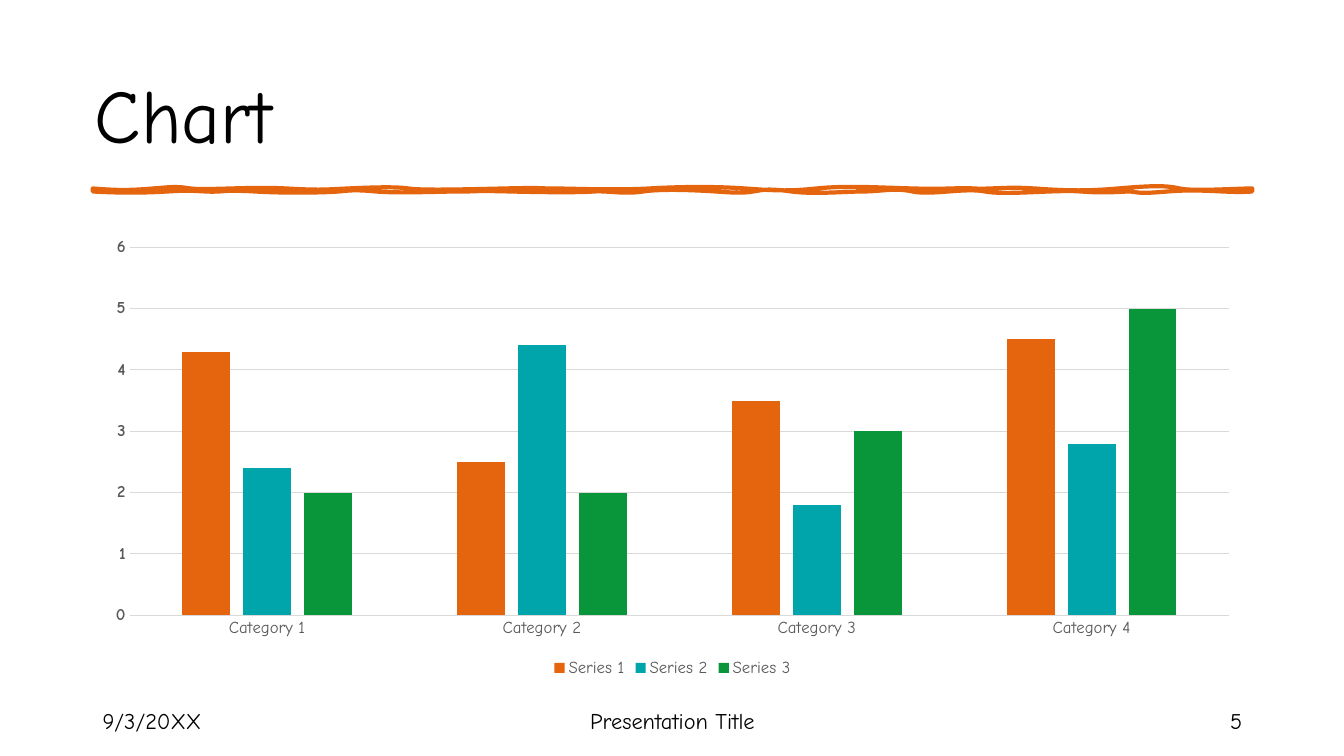
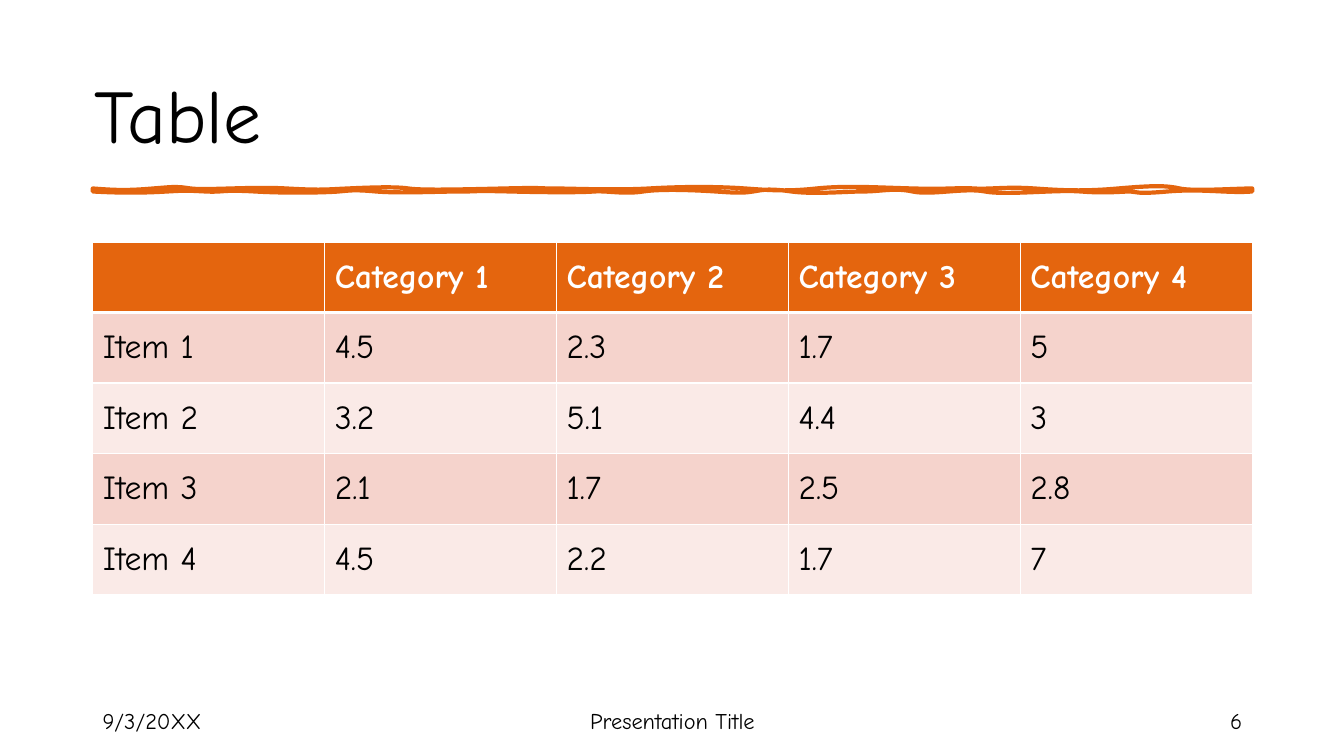
"""Build a chart slide and a table slide in one shared style."""
from lxml.etree import SubElement
from pptx import Presentation
from pptx.chart.data import CategoryChartData as ChartData
from pptx.dml.color import RGBColor
from pptx.enum.chart import XL_CHART_TYPE as ChartType
from pptx.enum.chart import XL_LEGEND_POSITION as LegendPosition
from pptx.enum.chart import XL_TICK_MARK as TickMark
from pptx.enum.text import MSO_ANCHOR as Anchor
from pptx.enum.text import PP_ALIGN as Align
from pptx.oxml.ns import qn
from pptx.util import Inches, Pt

COLORS = {
    "text": "000000", "white": "FFFFFF", "muted": "595959", "grid": "D9D9D9",
    "orange": "E4650E", "teal": "00A5AB", "green": "09963B",
    "band": "F5D3CC", "pale": "FAEAE7",
}
FONT = "Comic Neue"
LEFT, WIDTH = 0.92, 11.5
RULE_TOP, RULE_BOTTOM = 1.87, 1.9

TOP_CURVES = [
    (1.17, 1.89, 1.28, 1.89, 1.52), (1.76, 1.85, 1.75, 1.85, 1.89),
    (2.04, 1.89, 2.49, 1.85, 2.84), (3.19, 1.89, 3.23, 1.88, 3.45),
    (3.67, 1.86, 3.92, 1.85, 4.05), (4.18, 1.89, 4.58, 1.88, 5),
    (5.42, 1.86, 5.3, 1.87, 5.49), (5.67, 1.87, 6.09, 1.89, 6.44),
    (6.78, 1.85, 7.11, 1.85, 7.39), (7.66, 1.89, 7.82, 1.9, 8.1),
    (8.39, 1.84, 8.69, 1.86, 9.05), (9.42, 1.88, 9.5, 1.86, 9.66),
    (9.82, 1.88, 9.98, 1.85, 10.26), (10.54, 1.89, 10.75, 1.9, 11.09),
    (11.44, 1.84, 11.57, 1.84, 11.7), (11.83, 1.9, 12.26, 1.87, 12.42),
]
BOTTOM_CURVES = [
    (12.42, 1.88, 12.42, 1.89, 12.42),
    (12.19, 1.92, 11.93, 1.87, 11.58), (11.24, 1.93, 11.29, 1.9, 11.21),
    (11.13, 1.9, 10.96, 1.92, 10.72), (10.48, 1.88, 9.97, 1.94, 9.77),
    (9.57, 1.86, 9.24, 1.94, 9.05), (8.87, 1.86, 8.74, 1.9, 8.56),
    (8.39, 1.9, 8.07, 1.93, 7.85), (7.63, 1.87, 7.59, 1.88, 7.47),
    (7.36, 1.92, 7.25, 1.91, 7.1), (6.94, 1.89, 6.57, 1.87, 6.38),
    (6.19, 1.93, 6.01, 1.89, 5.89), (5.77, 1.91, 5.46, 1.91, 5.06),
    (4.65, 1.89, 4.79, 1.9, 4.57), (4.34, 1.9, 3.96, 1.92, 3.73),
    (3.51, 1.88, 3.48, 1.89, 3.36), (3.24, 1.91, 2.87, 1.92, 2.53),
    (2.18, 1.88, 2.23, 1.91, 2.04), (1.84, 1.89, 1.84, 1.89, 1.66),
    (1.49, 1.91, 1.27, 1.92, 0.92),
]
CLOSING_CURVE = (0.92, 1.89, 0.92, 1.88, 0.92)


def color(name):
    return RGBColor.from_string(COLORS[name])


def format_font(font, size, tint="text", bold=False):
    font.name, font.size, font.bold = FONT, Pt(size), bold
    font.color.rgb = color(tint)


def write(frame, text, size=16, tint="text", bold=False, align=Align.LEFT):
    paragraph = frame.paragraphs[0]
    paragraph.alignment = align
    run = paragraph.add_run()
    run.text = text
    format_font(run.font, size, tint, bold)


def bend_segments(shape, curves):
    segments = list(shape._element.iter(qn("a:lnTo")))
    for segment, (x1, y1, x2, y2, _) in zip(segments, curves):
        segment.tag = qn("a:cubicBezTo")
        for index, (x, y) in enumerate(((x1, y1), (x2, y2))):
            point = SubElement(segment, qn("a:pt"), x=str(Inches(x) - shape.left),
                               y=str(Inches(y) - shape.top))
            segment.insert(index, point)


def add_borders(cell, bottom):
    properties = cell._tc.get_or_add_tcPr()
    for side, width in (("L", 1), ("R", 1), ("T", 1), ("B", bottom)):
        line = SubElement(properties, qn(f"a:ln{side}"), w=str(Pt(width)))
        fill = SubElement(line, qn("a:solidFill"))
        SubElement(fill, qn("a:srgbClr"), val=COLORS["white"])


class Deck:
    def __init__(self):
        self.presentation = Presentation()
        self.presentation.slide_width = Inches(13.33)
        self.presentation.slide_height = Inches(7.5)
        self.slide = None

    def add_slide(self, title, number):
        self.slide = self.presentation.slides.add_slide(self.presentation.slide_layouts[6])
        self.add_rule()
        self.add_text(title, 0.84, 0.4, WIDTH, 1.45, size=54)
        self.add_text("9/3/20XX", LEFT, 6.95, 3, 0.4)
        self.add_text("Presentation Title", 4.42, 6.95, 4.5, 0.4, align=Align.CENTER)
        self.add_text(str(number), 9.42, 6.95, 3, 0.4, align=Align.RIGHT)

    def add_text(self, text, left, top, width, height, **style):
        box = self.slide.shapes.add_textbox(*map(Inches, (left, top, width, height)))
        frame = box.text_frame
        frame.word_wrap = True
        frame.vertical_anchor = Anchor.MIDDLE
        write(frame, text, **style)

    def add_rule(self):
        anchors = [(curve[-1], RULE_TOP) for curve in TOP_CURVES]
        anchors += [(curve[-1], RULE_BOTTOM) for curve in BOTTOM_CURVES]
        anchors.append((LEFT, RULE_TOP))
        builder = self.slide.shapes.build_freeform(Inches(LEFT), Inches(RULE_TOP))
        builder.add_line_segments([(Inches(x), Inches(y)) for x, y in anchors], close=True)
        shape = builder.convert_to_shape()
        bend_segments(shape, [*TOP_CURVES, *BOTTOM_CURVES, CLOSING_CURVE])
        shape.shadow.inherit = False
        shape.fill.background()
        shape.line.color.rgb = color("orange")
        shape.line.width = Pt(3)

    def add_chart(self, categories, series):
        data = ChartData()
        data.categories = categories
        for name, values, _ in series:
            data.add_series(name, values)
        chart = self.slide.shapes.add_chart(
            ChartType.COLUMN_CLUSTERED, *map(Inches, (LEFT, 2.27, WIDTH, 4.49)), data).chart
        chart.has_title = False
        format_font(chart.font, 10, bold=True)
        chart.has_legend = True
        chart.legend.position = LegendPosition.BOTTOM
        chart.legend.include_in_layout = False
        format_font(chart.legend.font, 12, "muted")
        plot = chart.plots[0]
        plot.vary_by_categories = False
        plot.gap_width, plot.overlap = 219, -27
        for column, (_, _, tint) in zip(plot.series, series):
            column.format.fill.solid()
            column.format.fill.fore_color.rgb = color(tint)
        category_axis, value_axis = chart.category_axis, chart.value_axis
        for axis, bold in ((category_axis, False), (value_axis, True)):
            axis.major_tick_mark = axis.minor_tick_mark = TickMark.NONE
            format_font(axis.tick_labels.font, 12, "muted", bold)
        value_axis.minimum_scale, value_axis.maximum_scale = 0, 6
        value_axis.major_unit = 1
        value_axis.format.line.fill.background()
        for line in (category_axis.format.line, value_axis.major_gridlines.format.line):
            line.color.rgb = color("grid")
            line.width = Pt(0.75)

    def add_table(self, rows):
        row_count, column_count = len(rows), len(rows[0])
        table = self.slide.shapes.add_table(
            row_count, column_count,
            *map(Inches, (LEFT, 2.4, WIDTH, 0.7 * row_count))).table
        for row_index, row in enumerate(rows):
            header = row_index == 0
            fill = "orange" if header else ("pale", "band")[row_index % 2]
            for column_index, text in enumerate(row):
                cell = table.cell(row_index, column_index)
                add_borders(cell, 3 if header else 1)
                cell.fill.solid()
                cell.fill.fore_color.rgb = color(fill)
                cell.vertical_anchor = Anchor.MIDDLE
                if text:
                    write(cell.text_frame, text, size=24,
                          tint="white" if header else "text", bold=header)


def main():
    categories = [f"Category {number}" for number in range(1, 5)]
    deck = Deck()
    deck.add_slide("Chart", 5)
    deck.add_chart(categories, [
        ("Series 1", (4.3, 2.5, 3.5, 4.5), "orange"),
        ("Series 2", (2.4, 4.4, 1.8, 2.8), "teal"),
        ("Series 3", (2, 2, 3, 5), "green"),
    ])
    deck.add_slide("Table", 6)
    deck.add_table([
        ["", *categories],
        ["Item 1", "4.5", "2.3", "1.7", "5"],
        ["Item 2", "3.2", "5.1", "4.4", "3"],
        ["Item 3", "2.1", "1.7", "2.5", "2.8"],
        ["Item 4", "4.5", "2.2", "1.7", "7"],
    ])
    deck.presentation.save("out.pptx")


if __name__ == "__main__":
    main()
